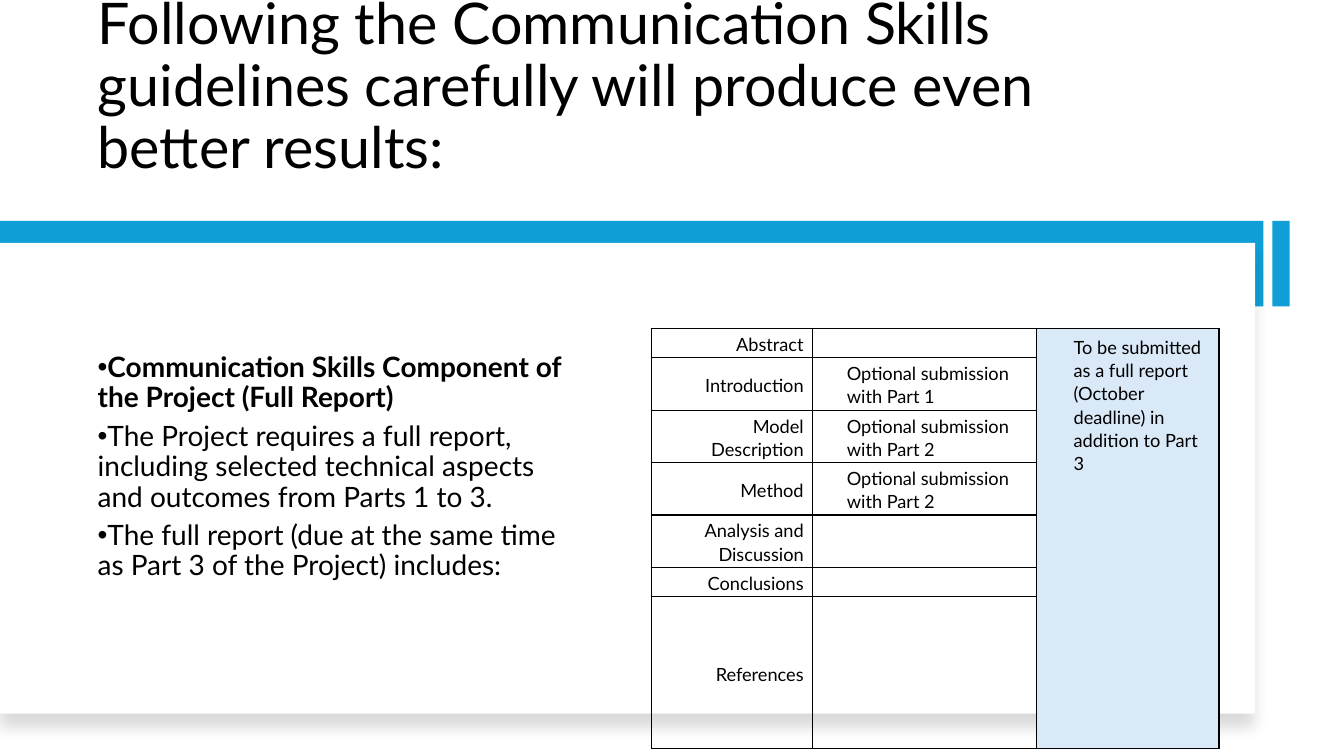
"""Build the slide on the report guidelines, with its table of sections."""
from lxml import etree
from pptx import Presentation
from pptx.dml.color import RGBColor
from pptx.enum.shapes import MSO_SHAPE
from pptx.enum.text import MSO_ANCHOR, PP_ALIGN
from pptx.oxml.ns import qn
from pptx.util import Inches, Pt

RECT = MSO_SHAPE.RECTANGLE
TOP, MIDDLE, BOTTOM = MSO_ANCHOR.TOP, MSO_ANCHOR.MIDDLE, MSO_ANCHOR.BOTTOM
LEFT, RIGHT = PP_ALIGN.LEFT, PP_ALIGN.RIGHT
BLACK = RGBColor(0x00, 0x00, 0x00)
WHITE = RGBColor(0xFF, 0xFF, 0xFF)
BLUE = RGBColor(0x0F, 0x9E, 0xD5)
PALE = RGBColor(0xDA, 0xE9, 0xF7)
FONT = "Lato"


def write(para, text, size, bold=False):
    run = para.add_run()
    run.text = text
    run.font.name = FONT
    run.font.size = Pt(size)
    run.font.bold = bold
    run.font.color.rgb = BLACK


def block(left, top, width, height, color):
    shape = slide.shapes.add_shape(
        RECT, Inches(left), Inches(top), Inches(width), Inches(height))
    shape.shadow.inherit = False
    shape.fill.solid()
    shape.fill.fore_color.rgb = color
    shape.line.fill.background()
    return shape


deck = Presentation()
deck.slide_width = Inches(13.33)
deck.slide_height = Inches(7.5)
slide = deck.slides.add_slide(deck.slide_layouts[6])

title = slide.shapes.add_textbox(
    Inches(0.87), Inches(0.42), Inches(11.01), Inches(1.42)).text_frame
title.word_wrap = True
title.vertical_anchor = BOTTOM
title.paragraphs[0].line_spacing = 0.9
write(title.paragraphs[0], "Following the Communication Skills guidelines "
      "carefully will produce even better results:", 41)

block(0, 2.19, 12.53, 0.85, BLUE)
panel = block(0, 2.41, 12.45, 4.67, WHITE)
effects = panel._element.spPr.find(qn("a:effectLst"))
shadow = etree.SubElement(
    effects, qn("a:outerShdw"), blurRad=str(Pt(11)), dist=str(Pt(10)),
    dir="5400000", algn="t", rotWithShape="0")
tint = etree.SubElement(shadow, qn("a:srgbClr"), val=str(BLACK))
etree.SubElement(tint, qn("a:alpha"), val="15000")

body = slide.shapes.add_textbox(
    Inches(0.87), Inches(2.84), Inches(4.96), Inches(3.98)).text_frame
body.word_wrap = True
body.vertical_anchor = MIDDLE
body.margin_bottom = Inches(0.43)
points = [
    ("Communication Skills Component of the Project (Full Report)", True),
    ("The Project requires a full report, including selected technical "
     "aspects and outcomes from Parts 1 to 3.", False),
    ("The full report (due at the same time as Part 3 of the Project) "
     "includes:", False),
]
for index, (text, bold) in enumerate(points):
    para = body.add_paragraph() if index else body.paragraphs[0]
    para.line_spacing = 0.9
    para.space_after = Pt(6)
    props = para._p.get_or_add_pPr()
    props.set("marL", "0")
    props.set("indent", str(Inches(-0.25)))
    etree.SubElement(props, qn("a:buFont"), typeface="Arial")
    etree.SubElement(props, qn("a:buChar"), char="•")
    write(para, text, 20, bold)

block(12.28, 2.53, 0.85, 0.17, BLUE).rotation = 90

rows = [
    ("Abstract", "", 0.29),
    ("Introduction", "Optional submission with Part 1", 0.52),
    ("Model Description", "Optional submission with Part 2", 0.52),
    ("Method", "Optional submission with Part 2", 0.52),
    ("Analysis and Discussion", "", 0.52),
    ("Conclusions", "", 0.29),
    ("References", "", 0.29),
]
due = ("To be submitted as a full report (October deadline) "
       "in addition to Part 3")
table = slide.shapes.add_table(
    len(rows), 3, Inches(6.46), Inches(3.26), Inches(5.63),
    Inches(2.97)).table
table.first_row = False
table.horz_banding = False
for column, width in zip(table.columns, (1.6, 2.22, 1.81)):
    column.width = Inches(width)
table.cell(0, 2).merge(table.cell(len(rows) - 1, 2))

for r, (name, option, height) in enumerate(rows):
    table.rows[r].height = Inches(height)
    for c, text in enumerate((name, option, "" if r else due)):
        cell = table.cell(r, c)
        last = c == 2
        cell.vertical_anchor = TOP if last else MIDDLE
        cell.margin_left = cell.margin_right = Inches(0.12 if last else 0.09)
        cell.margin_top = Inches(0.06 if last else 0.01)
        cell.margin_bottom = Inches(0.06 if last else 0)
        props = cell._tc.get_or_add_tcPr()
        for side in ("a:lnL", "a:lnR", "a:lnT", "a:lnB"):
            edge = etree.SubElement(props, qn(side), w=str(Pt(1)))
            paint = etree.SubElement(edge, qn("a:solidFill"))
            etree.SubElement(paint, qn("a:srgbClr"), val=str(BLACK))
        if last:
            cell.fill.solid()
            cell.fill.fore_color.rgb = PALE
        else:
            cell.fill.background()
        para = cell.text_frame.paragraphs[0]
        if text:
            para.alignment = LEFT if c else RIGHT
            para.line_spacing = 1.07
            para.space_after = Pt(8)
            para._p.get_or_add_pPr().set("marL", str(Inches(0.25)))
            write(para, text, 13)
        else:
            etree.SubElement(para._p, qn("a:endParaRPr"), sz="1300")

deck.save("out.pptx")
